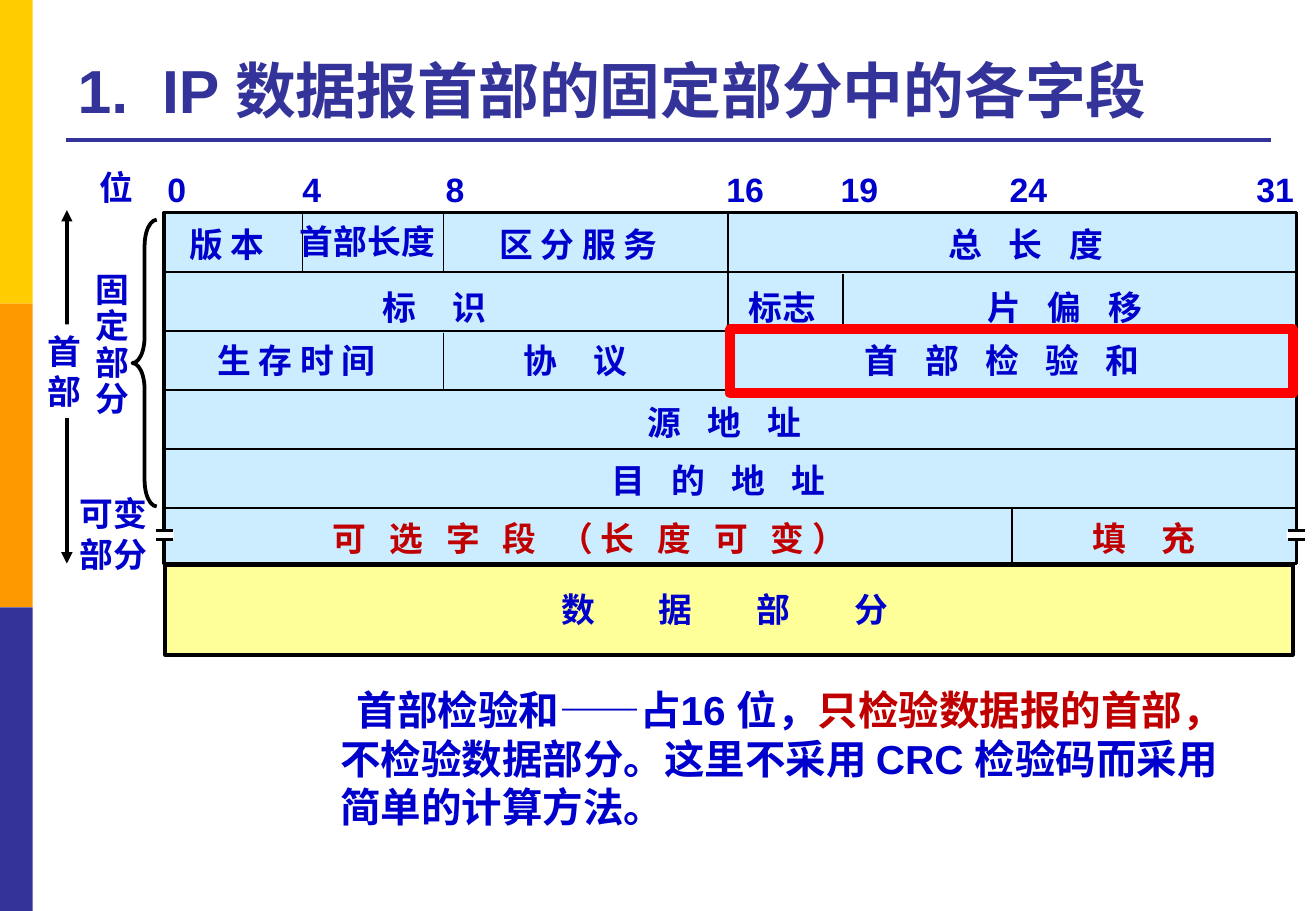
from lxml.etree import SubElement
from pptx import Presentation
from pptx.dml.color import RGBColor
from pptx.enum.shapes import MSO_CONNECTOR, MSO_SHAPE
from pptx.enum.text import MSO_ANCHOR, PP_ALIGN
from pptx.oxml.ns import qn
from pptx.util import Inches, Pt

BLUE = RGBColor(0x00, 0x00, 0xCC)
CRIMSON = RGBColor(0xC0, 0x00, 0x00)
RED = RGBColor(0xFF, 0x00, 0x00)
INDIGO = RGBColor(0x33, 0x33, 0x99)
GOLD = RGBColor(0xFF, 0xCC, 0x00)
ORANGE = RGBColor(0xFF, 0x99, 0x00)
SKY = RGBColor(0xCC, 0xEC, 0xFF)
YELLOW = RGBColor(0xFF, 0xFF, 0x99)
BLACK = RGBColor(0x00, 0x00, 0x00)
WHITE = RGBColor(0xFF, 0xFF, 0xFF)

TITLE = [("1.", INDIGO, 0), (" ", INDIGO, 10), ("IP 数据报首部的固定部分中的各字段", INDIGO, 0)]
NOTE = [
    [("首部检验和——占16 位，", BLUE, 0), ("只检验数据报的首部，", CRIMSON, 0)],
    [("不检验数据部分。这里不采用 CRC 检验码而采用简单的计算方法。", BLUE, 0)],
]
SIDE_BANDS = [GOLD, ORANGE, INDIGO]
BIT_LABELS = [("0", 1.28), ("4", 2.39), ("8", 3.57), ("16", 5.88),
              ("19", 6.82), ("24", 8.21), ("31", 10.24)]
FIELD_TOPS = [1.79, 2.31, 2.75, 3.26, 3.74, 4.21, 4.8]
# row, left, width, text, letter gap, colour
FIELDS = [
    (0, 1.46, 0.84, "版 本", 0, BLUE),
    (0, 4.01, 1.56, "区 分 服 务", 0, BLUE),
    (0, 7.71, 1.51, "总 长 度", 5.56, BLUE),
    (1, 3.05, 1.07, "标 识", 8.34, BLUE),
    (1, 6.06, 0.76, "标志", 0, BLUE),
    (1, 8.03, 1.51, "片 偏 移", 5.56, BLUE),
    (2, 1.69, 1.56, "生 存 时 间", 0, BLUE),
    (2, 4.21, 1.07, "协 议", 8.34, BLUE),
    (2, 7.02, 2.54, "首 部 检 验 和", 5.56, BLUE),
    (3, 5.23, 1.51, "源 地 址", 5.56, BLUE),
    (4, 4.93, 2.02, "目 的 地 址", 5.56, BLUE),
    (5, 2.64, 4.56, "可 选 字 段 （长 度 可 变）", 4.5, CRIMSON),
    (5, 8.89, 1.07, "填 充", 8.34, CRIMSON),
    (6, 4.52, 3.45, "数 据 部 分", 16.68, BLUE),
]
MARGIN_LABELS = [
    (0.69, 2.2, 0.48, 1.31, "固定部分", 1, 0.9),
    (0.56, 4.01, 0.76, 0.77, "可变部分", 2, 1),
    (0.72, 1.32, 0.48, 0.44, "位", 1, 1),
    (2.37, 1.77, 1.32, 0.44, "首部长度", 4, 1),
]
ROW_LINES = [2.24 + 0.485 * i for i in range(5)]
COLUMN_LINES = [(2.49, 1.76, 2.24), (3.65, 1.76, 2.24), (3.65, 2.74, 3.21),
                (5.99, 1.76, 3.21), (6.94, 2.26, 2.73), (8.33, 4.18, 4.65)]
BREAK_MARKS = [1.27, 10.59]

prs = Presentation()
prs.slide_width, prs.slide_height = Inches(10.83), Inches(7.5)
s = prs.slides.add_slide(prs.slide_layouts[6])


def shape(x, y, w, h, fill=None, line=None, width=1, kind=MSO_SHAPE.RECTANGLE):
    sp = s.shapes.add_shape(kind, Inches(x), Inches(y), Inches(w), Inches(h))
    sp.shadow.inherit = False
    if fill is None:
        sp.fill.background()
    else:
        sp.fill.solid()
        sp.fill.fore_color.rgb = fill
    if line is None:
        sp.line.fill.background()
    else:
        sp.line.color.rgb = line
        sp.line.width = Pt(width)
    return sp


def rule(x1, y1, x2, y2, color=BLACK, width=1, arrows=False):
    c = s.shapes.add_connector(MSO_CONNECTOR.STRAIGHT, Inches(x1), Inches(y1), Inches(x2), Inches(y2))
    c.line.color.rgb = color
    c.line.width = Pt(width)
    if arrows:
        for end in ("a:headEnd", "a:tailEnd"):
            SubElement(c.line._get_or_add_ln(), qn(end), type="triangle")
    SubElement(c._element.spPr, qn("a:effectLst"))


def text(x, y, w, h, paragraphs, size=20, wrap=False, spacing=1,
         anchor=MSO_ANCHOR.TOP, first_align=PP_ALIGN.LEFT):
    tf = s.shapes.add_textbox(Inches(x), Inches(y), Inches(w), Inches(h)).text_frame
    tf.word_wrap = wrap
    tf.vertical_anchor = anchor
    for i, runs in enumerate(paragraphs):
        p = tf.add_paragraph() if i else tf.paragraphs[0]
        p.alignment = PP_ALIGN.LEFT if i else first_align
        p.line_spacing = spacing
        for words, color, gap in runs:
            r = p.add_run()
            r.text = words
            for name, value in {"name": "Arial", "size": Pt(size), "bold": True}.items():
                setattr(r.font, name, value)
            r.font.color.rgb = color
            if gap:
                r._r.get_or_add_rPr().set("spc", str(round(gap * 100)))


def label(x, y, w, h, words, per_line, spacing=1):
    lines = [words[i:i + per_line] for i in range(0, len(words), per_line)]
    text(x, y, w, h, [[(line, BLUE, 0)] for line in lines], spacing=spacing)


for i, color in enumerate(SIDE_BANDS):
    shape(0, 2.5 * i, 0.27, 2.5, color)
rule(0.54, 1.15, 10.46, 1.15, INDIGO, 2.25)
text(0.54, 0.21, 9.91, 0.87, [TITLE], 36, True, anchor=MSO_ANCHOR.BOTTOM)

shape(1.35, 1.75, 9.32, 2.89, SKY, BLACK, 2)
shape(1.36, 4.65, 9.28, 0.74, YELLOW, BLACK, 2.25)
for y in ROW_LINES:
    rule(1.34, y, 10.68, y)
for x, top, bottom in COLUMN_LINES:
    rule(x, top, x, bottom)

for bit, x in BIT_LABELS:
    label(x, 1.34, 0.36 if len(bit) == 1 else 0.51, 0.44, bit, 2)
for row, x, w, words, gap, color in FIELDS:
    text(x, FIELD_TOPS[row], w + gap / 72, 0.44, [[(words, color, gap)]], wrap=row == 6)
for args in MARGIN_LABELS:
    label(*args)

for x in BREAK_MARKS:
    shape(x, 4.37, 0.16, 0.07, WHITE)
    for y in (4.37, 4.44):
        rule(x + 0.01, y, x + 0.15, y, width=2)

rule(0.55, 1.73, 0.55, 4.64, width=2.25, arrows=True)
shape(0.29, 2.67, 0.48, 0.77, WHITE)
label(0.29, 2.67, 0.48, 0.77, "首部", 1)
brace = shape(1.09, 1.81, 0.2, 2.36, None, BLACK, 2.25, MSO_SHAPE.LEFT_BRACE)
brace.adjustments[0] = 1.08

text(2.7, 5.59, 7.6, 1.31, NOTE, 24, True, first_align=PP_ALIGN.CENTER)
shape(6.01, 2.71, 4.63, 0.53, None, RED, 6)

prs.save("out.pptx")
